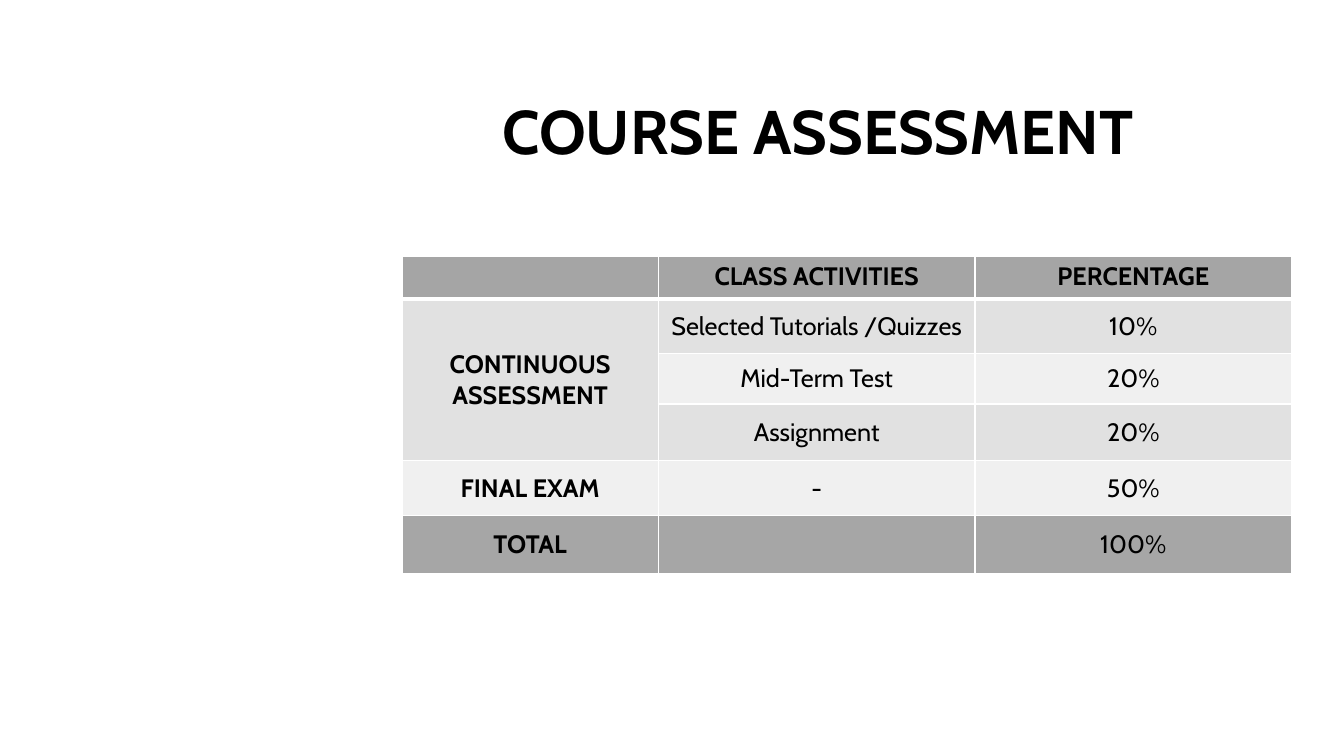
from dataclasses import dataclass

from lxml import etree
from pptx import Presentation
from pptx import util as u
from pptx.dml.color import RGBColor
from pptx.enum import text
from pptx.oxml import ns


@dataclass(frozen=True)
class Theme:
    """Colours, typeface and type sizes of the slide."""
    font: str = "Cabin"
    ink: str = "000000"
    rule: str = "FFFFFF"
    header: str = "A5A5A5"
    total: str = "A6A6A6"
    bands: tuple = ("E1E1E1", "F0F0F0")
    title_size: int = 44
    table_size: int = 18
    thin: int = 1
    thick: int = 3


THEME = Theme()
COLUMN_WIDTHS = (6.46, 7.98, 7.98)
ROW_HEIGHTS = (1.09, 1.37, 1.27, 1.42, 1.4, 1.45)
ASSESSMENT = (
    ("", "CLASS ACTIVITIES", "PERCENTAGE"),
    ("CONTINUOUS ASSESSMENT", "Selected Tutorials /Quizzes", "10%"),
    ("", "Mid-Term Test", "20%"),
    ("", "Assignment", "20%"),
    ("FINAL EXAM", "-", "50%"),
    ("TOTAL", "", "100%"),
)


def write_text(frame, words, size, bold, anchor):
    """Fill a text frame with one centred paragraph and return it."""
    frame.word_wrap = True
    frame.vertical_anchor = anchor
    paragraph = frame.paragraphs[0]
    paragraph.alignment = text.PP_ALIGN.CENTER
    run = paragraph.add_run()
    run.text = words
    values = {"name": THEME.font, "size": u.Pt(size), "bold": bold}
    for name, value in values.items():
        setattr(run.font, name, value)
    run.font.color.rgb = RGBColor.from_string(THEME.ink)
    return paragraph


def set_borders(cell, widths):
    """Draw the cell borders from a dict of side to width in points."""
    properties = cell._tc.get_or_add_tcPr()
    for position, (side, width) in enumerate(widths.items()):
        line = etree.Element(ns.qn(f"a:ln{side}"), w=str(u.Pt(width)))
        fill = etree.SubElement(line, ns.qn("a:solidFill"))
        etree.SubElement(fill, ns.qn("a:srgbClr"), val=THEME.rule)
        properties.insert(position, line)


def add_title(slide, left, top, width, height):
    """Place the slide title in the given box."""
    box = slide.shapes.add_textbox(*map(u.Cm, (left, top, width, height)))
    paragraph = write_text(box.text_frame, "COURSE ASSESSMENT", THEME.title_size,
                           True, text.MSO_ANCHOR.MIDDLE)
    paragraph.line_spacing = 0.9


def add_assessment_table(slide, left, top):
    """Place the assessment table with its top left corner at the given point."""
    last = len(ASSESSMENT) - 1
    size = (sum(COLUMN_WIDTHS), sum(ROW_HEIGHTS))
    table = slide.shapes.add_table(len(ASSESSMENT), len(COLUMN_WIDTHS),
                                   *map(u.Cm, (left, top, *size))).table
    table.first_row = table.horz_banding = False
    for column, width in zip(table.columns, COLUMN_WIDTHS):
        column.width = u.Cm(width)
    for row, height in zip(table.rows, ROW_HEIGHTS):
        row.height = u.Cm(height)
    fills = {0: THEME.header, last: THEME.total}
    for row, entries in enumerate(ASSESSMENT):
        is_header = row == 0
        anchor = text.MSO_ANCHOR.TOP if is_header else text.MSO_ANCHOR.MIDDLE
        widths = dict.fromkeys("LRTB", THEME.thin)
        if is_header:
            widths["B"] = THEME.thick
        elif row == 1:
            widths["T"] = THEME.thick
        for column, words in enumerate(entries):
            cell = table.cell(row, column)
            write_text(cell.text_frame, words, THEME.table_size,
                       is_header or column == 0, anchor)
            cell.vertical_anchor = anchor
            cell.fill.solid()
            color = fills.get(row, THEME.bands[(row - 1) % 2])
            cell.fill.fore_color.rgb = RGBColor.from_string(color)
            set_borders(cell, widths)
    table.cell(1, 0).merge(table.cell(3, 0))


def main():
    """Build the slide and save it."""
    presentation = Presentation()
    presentation.slide_width = u.Cm(33.87)
    presentation.slide_height = u.Cm(19.05)
    slide = presentation.slides.add_slide(presentation.slide_layouts[6])
    add_title(slide, 8.64, 1.55, 23.95, 3.68)
    add_assessment_table(slide, 10.13, 6.45)
    presentation.save("out.pptx")


if __name__ == "__main__":
    main()
